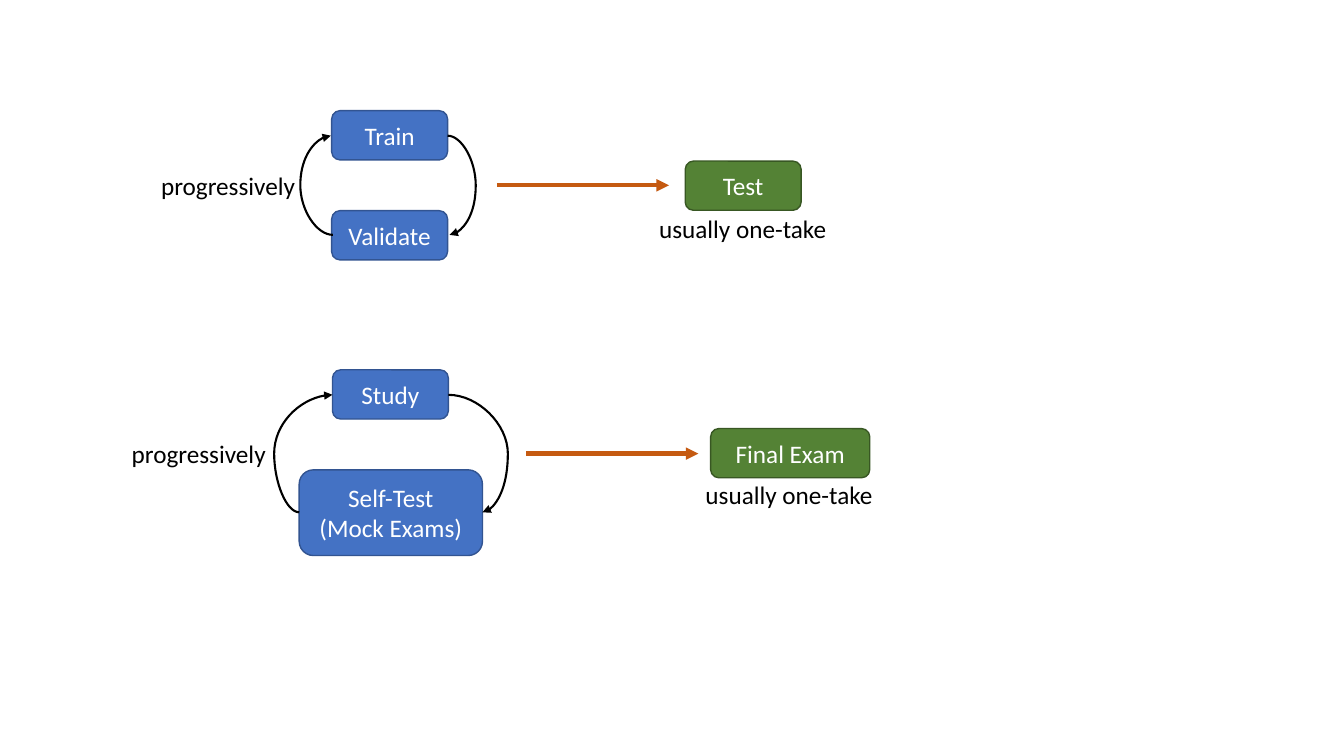
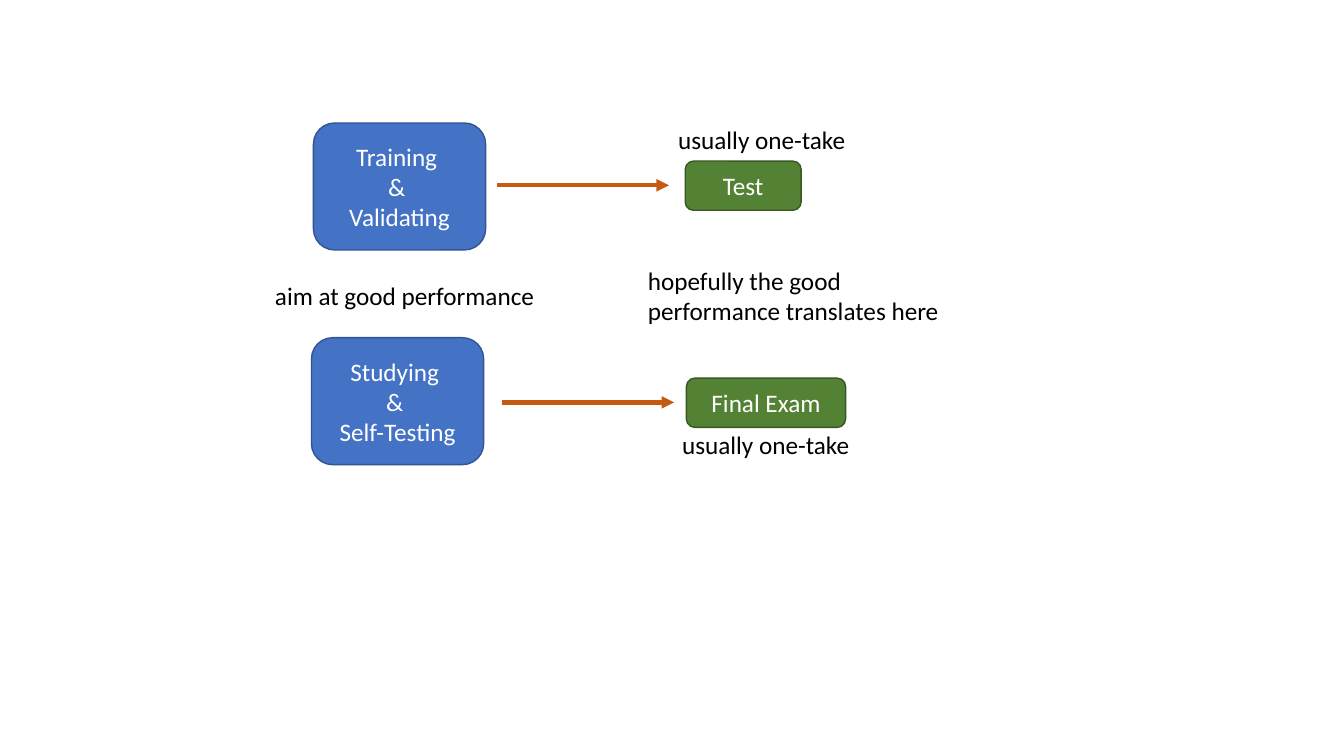
import pptx
import pptx.util
import pptx.dml.color
import pptx.enum.shapes
import pptx.enum.text
import pptx.oxml.ns
import pptx.oxml.xmlchemy

Cm, Pt = pptx.util.Cm, pptx.util.Pt
rgb = pptx.dml.color.RGBColor.from_string
qn = pptx.oxml.ns.qn
new_element = pptx.oxml.xmlchemy.OxmlElement
CONNECTOR = pptx.enum.shapes.MSO_CONNECTOR
ROUNDED = pptx.enum.shapes.MSO_SHAPE.ROUNDED_RECTANGLE
ALIGN = pptx.enum.text.PP_ALIGN
ANCHOR = pptx.enum.text.MSO_ANCHOR
AUTO_SIZE = pptx.enum.text.MSO_AUTO_SIZE

# Shared style: fill and outline of each kind of box, arrow colours, text
PRACTICE = ("4472C4", "325491")
EXAM = ("548235", "385723")
ORANGE, BLACK, WHITE = "C55A11", "000000", "FFFFFF"
FONT, SIZE = "Calibri", 18
BOX_W, BOX_H = 2.92, 1.24
EXAM_W = 4.01
STAGE_W, STAGE_H = 4.34, 3.2
ARROW_W = 4.34
NOTE_H = 1.02


def write(sp, text, color=BLACK, align=ALIGN.LEFT, anchor=ANCHOR.TOP, wrap=True):
    tf = sp.text_frame
    tf.word_wrap = wrap
    tf.vertical_anchor = anchor
    for i, line in enumerate(text.split("\n")):
        p = tf.paragraphs[0] if i == 0 else tf.add_paragraph()
        p.alignment = align
        r = p.add_run()
        r.text = line
        r.font.name, r.font.size = FONT, Pt(SIZE)
        r.font.color.rgb = rgb(color)


def add_arrow(s, kind, x1, y1, x2, y2, color, width):
    sp = s.shapes.add_connector(kind, Cm(x1), Cm(y1), Cm(x2), Cm(y2))
    sp.line.color.rgb = rgb(color)
    sp.line.width = Pt(width)
    tail = new_element("a:tailEnd")
    tail.set("type", "triangle")
    sp.element.spPr.find(qn("a:ln")).append(tail)
    sp.element.spPr.append(new_element("a:effectLst"))
    return sp


# Content of each slide, lengths in cm
slides = [
    {
        # text, left, top, width, height, colours
        "boxes": [
            ("Train", 8.36, 2.79, BOX_W, BOX_H, PRACTICE),
            ("Validate", 8.36, 5.31, BOX_W, BOX_H, PRACTICE),
            ("Study", 8.38, 9.32, BOX_W, BOX_H, PRACTICE),
            ("Self-Test\n(Mock Exams)", 7.54, 11.84, 4.62, 2.16, PRACTICE),
            ("Test", 17.27, 4.06, BOX_W, BOX_H, EXAM),
            ("Final Exam", 17.91, 10.8, EXAM_W, BOX_H, EXAM),
        ],
        # start, end, x of the outermost point
        "loops": [
            (11.28, 3.42, 11.33, 5.92, 11.99),
            (8.39, 5.92, 8.34, 3.42, 7.57),
            (11.3, 9.95, 12.16, 12.91, 12.8),
            (7.54, 12.91, 8.38, 9.95, 6.91),
        ],
        # left, middle
        "arrows": [(12.52, 4.67), (13.26, 11.43)],
        # text, left, top, width, height, wrap
        "notes": [
            ("usually one-take", 16.36, 5.26, 4.78, NOTE_H, False),
            ("usually one-take", 17.53, 11.96, 4.78, NOTE_H, False),
            ("progressively", 3.81, 4.17, 3.94, NOTE_H, False),
            ("progressively", 3.07, 10.92, 3.94, NOTE_H, False),
        ],
    },
    {
        "boxes": [
            ("Training \n& \nValidating", 7.9, 3.1, STAGE_W, STAGE_H, PRACTICE),
            ("Studying \n& \nSelf-Testing", 7.85, 8.51, STAGE_W, STAGE_H, PRACTICE),
            ("Test", 17.27, 4.06, BOX_W, BOX_H, EXAM),
            ("Final Exam", 17.3, 9.53, EXAM_W, BOX_H, EXAM),
        ],
        "loops": [],
        "arrows": [(12.52, 4.67), (12.65, 10.14)],
        "notes": [
            ("usually one-take", 16.84, 3, 4.78, NOTE_H, False),
            ("usually one-take", 16.94, 10.69, 4.78, NOTE_H, False),
            ("aim at good performance", 6.68, 6.93, 7.11, NOTE_H, False),
            ("hopefully the good performance translates here",
             16.08, 6.55, 7.98, 1.8, True),
        ],
    },
]

prs = pptx.Presentation()
prs.slide_width, prs.slide_height = Cm(33.87), Cm(19.05)

for content in slides:
    s = prs.slides.add_slide(prs.slide_layouts[6])

    # Rounded boxes
    for text, x, y, w, h, (fill, outline) in content["boxes"]:
        sp = s.shapes.add_shape(ROUNDED, Cm(x), Cm(y), Cm(w), Cm(h))
        sp.shadow.inherit = False
        sp.fill.solid()
        sp.fill.fore_color.rgb = rgb(fill)
        sp.line.color.rgb = rgb(outline)
        sp.line.width = Pt(1)
        write(sp, text, color=WHITE, align=ALIGN.CENTER, anchor=ANCHOR.MIDDLE)

    # Curved arrows of the practice loops, bulging out to x_out
    for x1, y1, x2, y2, x_out in content["loops"]:
        sp = add_arrow(s, CONNECTOR.CURVE, x1, y1, x2, y2, BLACK, 1.5)
        guide = new_element("a:gd")
        guide.set("name", "adj1")
        guide.set("fmla", f"val {round((x_out - x1) / (x2 - x1) * 100000)}")
        sp.element.spPr.find(qn("a:prstGeom")).find(qn("a:avLst")).append(guide)

    # Straight arrows to the exam
    for x, y in content["arrows"]:
        add_arrow(s, CONNECTOR.STRAIGHT, x, y, x + ARROW_W, y, ORANGE, 3)

    # Notes
    for text, x, y, w, h, wrap in content["notes"]:
        sp = s.shapes.add_textbox(Cm(x), Cm(y), Cm(w), Cm(h))
        write(sp, text, wrap=wrap)
        sp.text_frame.auto_size = AUTO_SIZE.SHAPE_TO_FIT_TEXT

prs.save("out.pptx")
